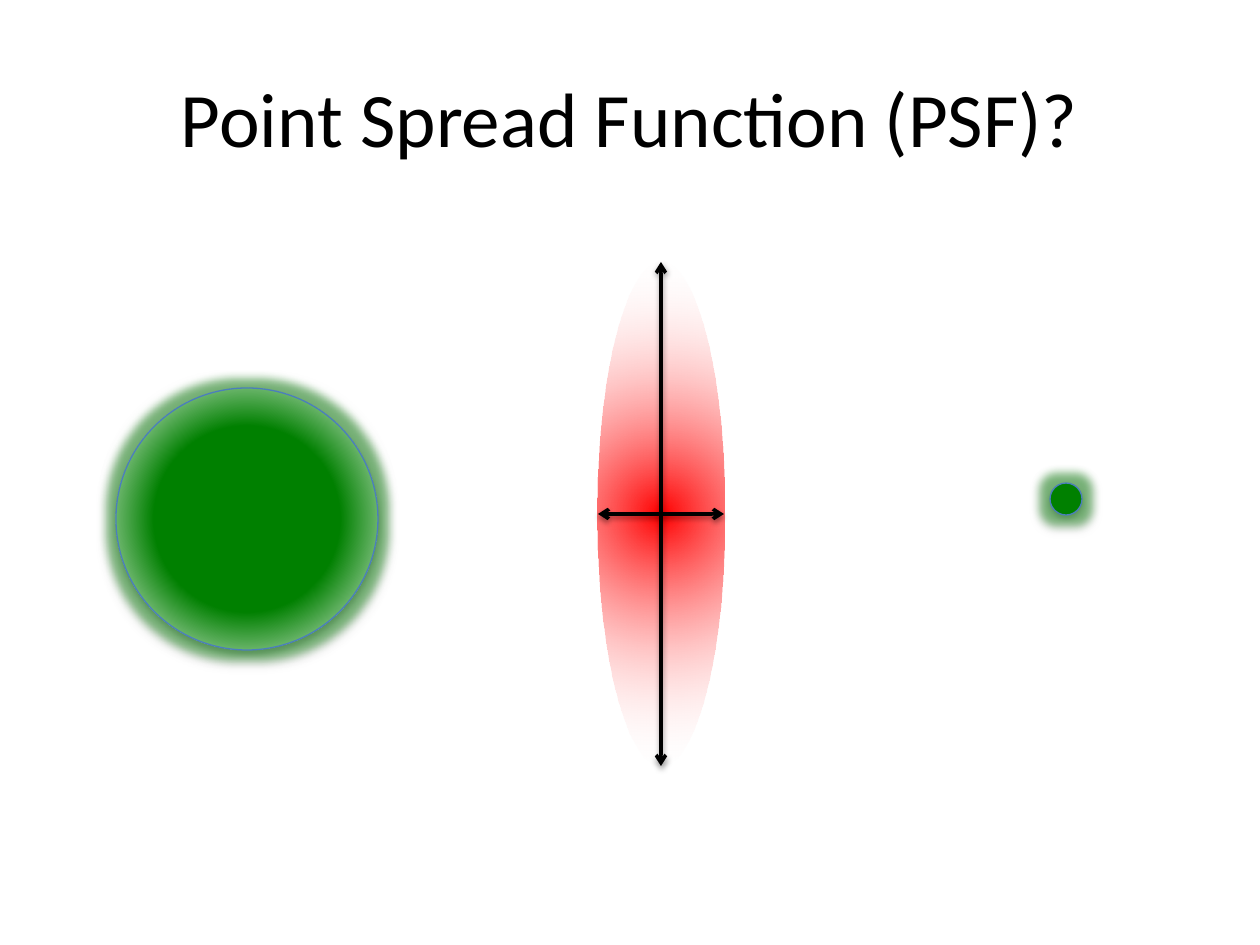
from lxml import etree
from pptx import Presentation
from pptx.dml.color import RGBColor
from pptx.enum.shapes import MSO_CONNECTOR, MSO_SHAPE
from pptx.enum.text import MSO_ANCHOR, PP_ALIGN
from pptx.oxml import parse_xml
from pptx.oxml.ns import qn
from pptx.util import Emu, Pt

OVAL = MSO_SHAPE.OVAL
LINE = MSO_CONNECTOR.STRAIGHT
MIDDLE = MSO_ANCHOR.MIDDLE
CENTER = PP_ALIGN.CENTER
NS = 'xmlns:a="http://schemas.openxmlformats.org/drawingml/2006/main"'
GREEN, RED, WHITE, BLACK, BLUE = "008000", "FF0000", "FFFFFF", "000000", "4B7EBC"


def px(n):
    return Emu(round(n * 914400 / 126))


def color(code):
    return RGBColor.from_string(code)


def tint(code, alpha):
    return f'<a:srgbClr val="{code}"><a:alpha val="{alpha * 1000}"/></a:srgbClr>'


def effects(shape, dist, alpha, glow=""):
    """Give the shape a soft shadow below it, and a glow if one is named."""
    halo = f'<a:glow rad="{Pt(11)}">{tint(glow, 45)}</a:glow>' if glow else ""
    props = shape._element.spPr
    for old in props.findall(qn("a:effectLst")):
        props.remove(old)
    props.append(parse_xml(
        f'<a:effectLst {NS}>{halo}<a:outerShdw blurRad="{Pt(3.1)}" dist="{Pt(dist)}" '
        f'dir="5400000" rotWithShape="0">{tint(BLACK, alpha)}</a:outerShdw></a:effectLst>'))


def radial(shape, stops):
    """Fill from the centre outwards; stops are (percent, colour, alpha)."""
    marks = "".join(f'<a:gs pos="{pos * 1000}">{tint(code, alpha)}</a:gs>'
                    for pos, code, alpha in stops)
    shape.fill.background()
    props = shape._element.spPr
    props.replace(props.find(qn("a:noFill")), parse_xml(
        f'<a:gradFill {NS} rotWithShape="1"><a:gsLst>{marks}</a:gsLst>'
        '<a:path path="circle"><a:fillToRect l="50000" t="50000" r="50000" b="50000"/>'
        '</a:path></a:gradFill>'))


def oval(slide, x, y, w, h):
    shape = slide.shapes.add_shape(OVAL, px(x), px(y), px(w), px(h))
    shape.shadow.inherit = False
    shape.line.fill.background()
    return shape


def bead(slide, x, y, size):
    """A green glowing disc with a thin blue rim."""
    shape = oval(slide, x, y, size, size)
    shape.fill.solid()
    shape.fill.fore_color.rgb = color(GREEN)
    shape.line.color.rgb = color(BLUE)
    shape.line.width = Pt(0.75)
    effects(shape, 1.8, 35, GREEN)
    return shape


def arrow(slide, x1, y1, x2, y2):
    """A black line with an arrowhead at both ends."""
    line = slide.shapes.add_connector(LINE, px(x1), px(y1), px(x2), px(y2))
    line.line.color.rgb = color(BLACK)
    line.line.width = Pt(2)
    ln = line.line._get_or_add_ln()
    for end in ("a:headEnd", "a:tailEnd"):
        etree.SubElement(ln, qn(end), type="arrow")
    effects(line, 1.6, 38)


def title(slide, text):
    box = slide.shapes.add_textbox(px(63), px(38), px(1134), px(158))
    frame = box.text_frame
    frame.word_wrap = True
    frame.vertical_anchor = MIDDLE
    par = frame.paragraphs[0]
    par.text = text
    par.alignment = CENTER
    par.font.name = "Calibri"
    par.font.size = Pt(44)
    par.font.color.rgb = color(BLACK)


def main():
    deck = Presentation()
    deck.slide_width, deck.slide_height = px(1260), px(945)
    slide = deck.slides.add_slide(deck.slide_layouts[6])
    title(slide, "Point Spread Function (PSF)?")

    # Spread function with its width and height
    x, y, w, h = 598, 262, 126, 504
    spread = oval(slide, x, y, w, h)
    radial(spread, [(0, RED, 100), (100, WHITE, 0)])
    arrow(slide, x, y + h // 2, x + w, y + h // 2)
    arrow(slide, x + w // 2, y, x + w // 2, y + h)

    # Small and large beads
    bead(slide, 1050, 483, 32)
    large = bead(slide, 116, 388, 262)
    radial_stops = [(50, GREEN, 100), (100, WHITE, 100)]
    large.fill.background()
    radial(large, radial_stops)

    deck.save("out.pptx")


if __name__ == "__main__":
    main()
